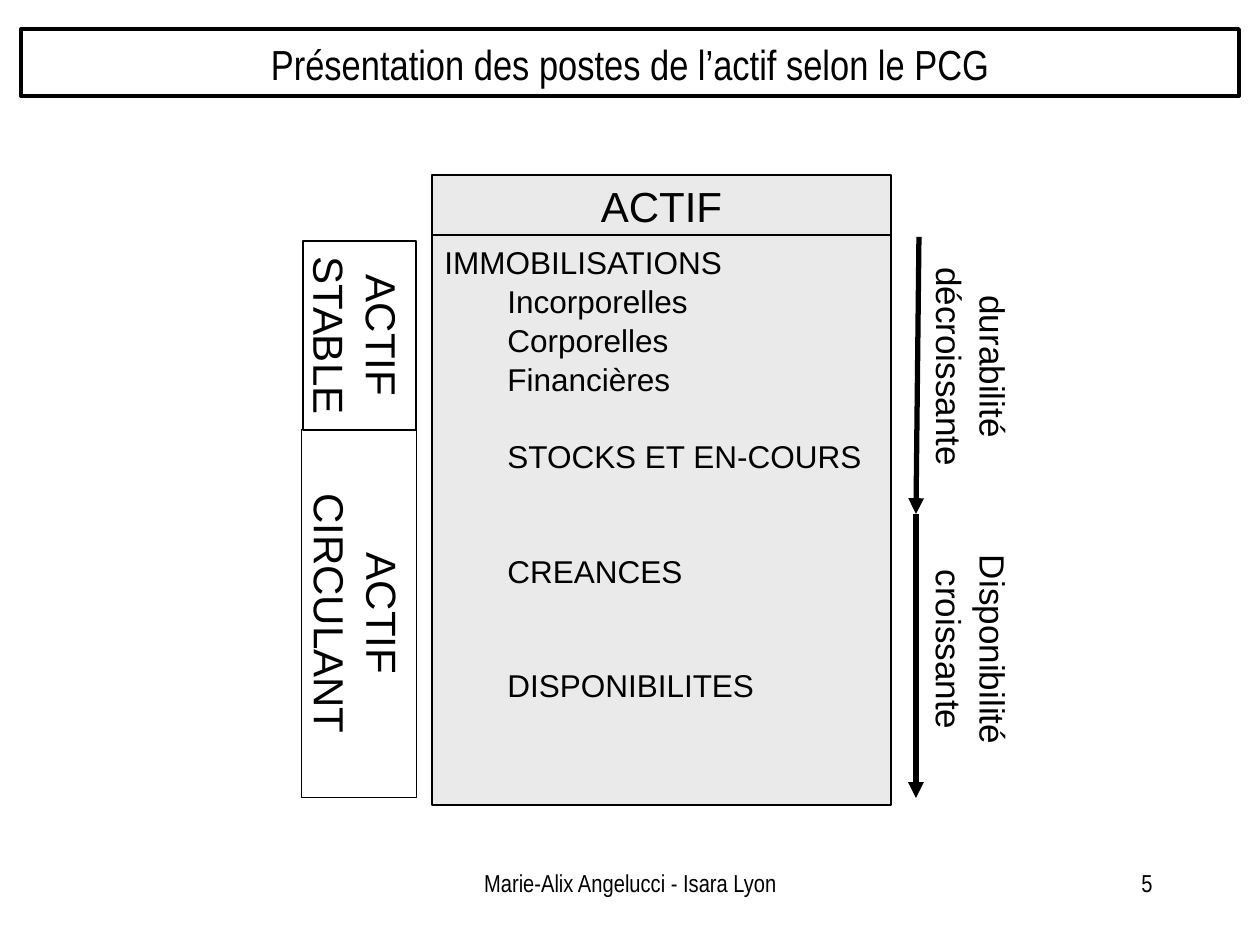
from dataclasses import dataclass
from typing import Optional

from lxml import etree
from pptx import Presentation
from pptx.dml.color import RGBColor
from pptx.enum.shapes import MSO_CONNECTOR, MSO_SHAPE
from pptx.enum.text import MSO_ANCHOR, PP_ALIGN
from pptx.oxml.ns import qn
from pptx.util import Emu, Pt

RECTANGLE = MSO_SHAPE.RECTANGLE
STRAIGHT = MSO_CONNECTOR.STRAIGHT
LEFT, CENTER, RIGHT = PP_ALIGN.LEFT, PP_ALIGN.CENTER, PP_ALIGN.RIGHT
TOP, MIDDLE = MSO_ANCHOR.TOP, MSO_ANCHOR.MIDDLE

PX_PER_INCH = 126
EMU_PER_PX = 914400 / PX_PER_INCH
COLORS = {"ink": "000000", "panel": "EAEAEA"}
SANS, NARROW = "Arial", "Arial Narrow"
LINE_SPACING = 1.04
ROW_PT = 21.5
INDENT = 63


@dataclass(frozen=True)
class Entry:
    text: str
    indent: int = 0
    rows_before: int = 0


@dataclass(frozen=True)
class Box:
    left: int
    top: int
    width: int
    height: int
    entries: tuple[Entry, ...]
    size: int
    font: str = SANS
    align: PP_ALIGN = CENTER
    anchor: MSO_ANCHOR = TOP
    rotation: int = 0
    fill: Optional[str] = None
    line_pt: float = 0


@dataclass(frozen=True)
class Arrow:
    x1: int
    y1: int
    x2: int
    y2: int


def px(length: float) -> Emu:
    return Emu(round(length * EMU_PER_PX))


def color(key: str) -> RGBColor:
    return RGBColor.from_string(COLORS[key])


def write(shape, box: Box) -> None:
    frame = shape.text_frame
    frame.word_wrap = True
    frame.vertical_anchor = box.anchor
    frame.margin_left = frame.margin_right = Pt(7.2)
    frame.margin_top = frame.margin_bottom = Pt(3.6)
    for index, entry in enumerate(box.entries):
        paragraph = frame.paragraphs[0] if index == 0 else frame.add_paragraph()
        paragraph.alignment = box.align
        paragraph.line_spacing = LINE_SPACING
        if entry.indent:
            paragraph._p.get_or_add_pPr().set("marL", str(px(entry.indent)))
        if entry.rows_before:
            paragraph.space_before = Pt(entry.rows_before * ROW_PT)
        run = paragraph.add_run()
        run.text = entry.text
        run.font.size = Pt(box.size)
        run.font.name = box.font
        run.font.color.rgb = color("ink")


def format_box(shape, box: Box) -> None:
    shape.left, shape.top = px(box.left), px(box.top)
    shape.width, shape.height = px(box.width), px(box.height)
    shape.rotation = box.rotation
    if box.fill:
        shape.fill.solid()
        shape.fill.fore_color.rgb = color(box.fill)
    else:
        shape.fill.background()
    if box.line_pt:
        shape.line.color.rgb = color("ink")
        shape.line.width = Pt(box.line_pt)
    write(shape, box)


def draw_box(slide, box: Box) -> None:
    area = px(box.left), px(box.top), px(box.width), px(box.height)
    if box.line_pt:
        shape = slide.shapes.add_shape(RECTANGLE, *area)
        shape.shadow.inherit = False
    else:
        shape = slide.shapes.add_textbox(*area)
    format_box(shape, box)


def draw_arrow(slide, arrow: Arrow) -> None:
    connector = slide.shapes.add_connector(
        STRAIGHT, px(arrow.x1), px(arrow.y1), px(arrow.x2), px(arrow.y2))
    connector.line.color.rgb = color("ink")
    connector.line.width = Pt(3)
    etree.SubElement(connector.line._get_or_add_ln(), qn("a:tailEnd"), type="triangle")
    etree.SubElement(connector._element.spPr, qn("a:effectLst"))


TITLE = Box(21, 29, 1218, 67, (Entry("Présentation des postes de l’actif selon le PCG"),),
            24, NARROW, anchor=MIDDLE, line_pt=2.25)

ASSETS = (
    Entry("IMMOBILISATIONS"),
    Entry("Incorporelles", INDENT),
    Entry("Corporelles", INDENT),
    Entry("Financières", INDENT),
    Entry("STOCKS ET EN-COURS", INDENT, 1),
    Entry("CREANCES", INDENT, 2),
    Entry("DISPONIBILITES", INDENT, 2),
)

BOXES = (
    Box(432, 235, 459, 570, ASSETS, 18, align=LEFT, fill="panel", line_pt=0.75),
    Box(432, 175, 459, 60, (Entry("ACTIF"),), 24, anchor=MIDDLE, fill="panel", line_pt=0.75),
    Box(175, 556, 368, 115, (Entry("ACTIF CIRCULANT"),), 24, rotation=90, line_pt=0.75),
    Box(265, 279, 189, 113, (Entry("ACTIF STABLE"),), 24, rotation=90, line_pt=0.75),
    Box(848, 318, 252, 97, (Entry("durabilité décroissante"),), 20, rotation=90),
    Box(827, 601, 294, 97, (Entry("Disponibilité croissante"),), 20, rotation=90),
    Box(431, 861, 399, 63, (Entry("Marie-Alix Angelucci - Isara Lyon"),), 14, NARROW),
    Box(903, 861, 262, 63, (Entry("5"),), 14, NARROW, RIGHT),
)

ARROWS = (Arrow(919, 237, 916, 514), Arrow(916, 514, 916, 798))


def main() -> None:
    deck = Presentation()
    deck.slide_width, deck.slide_height = px(1260), px(945)
    slide = deck.slides.add_slide(deck.slide_layouts[5])
    format_box(slide.shapes.title, TITLE)
    for box in BOXES:
        draw_box(slide, box)
    for arrow in ARROWS:
        draw_arrow(slide, arrow)
    deck.save("out.pptx")


if __name__ == "__main__":
    main()
